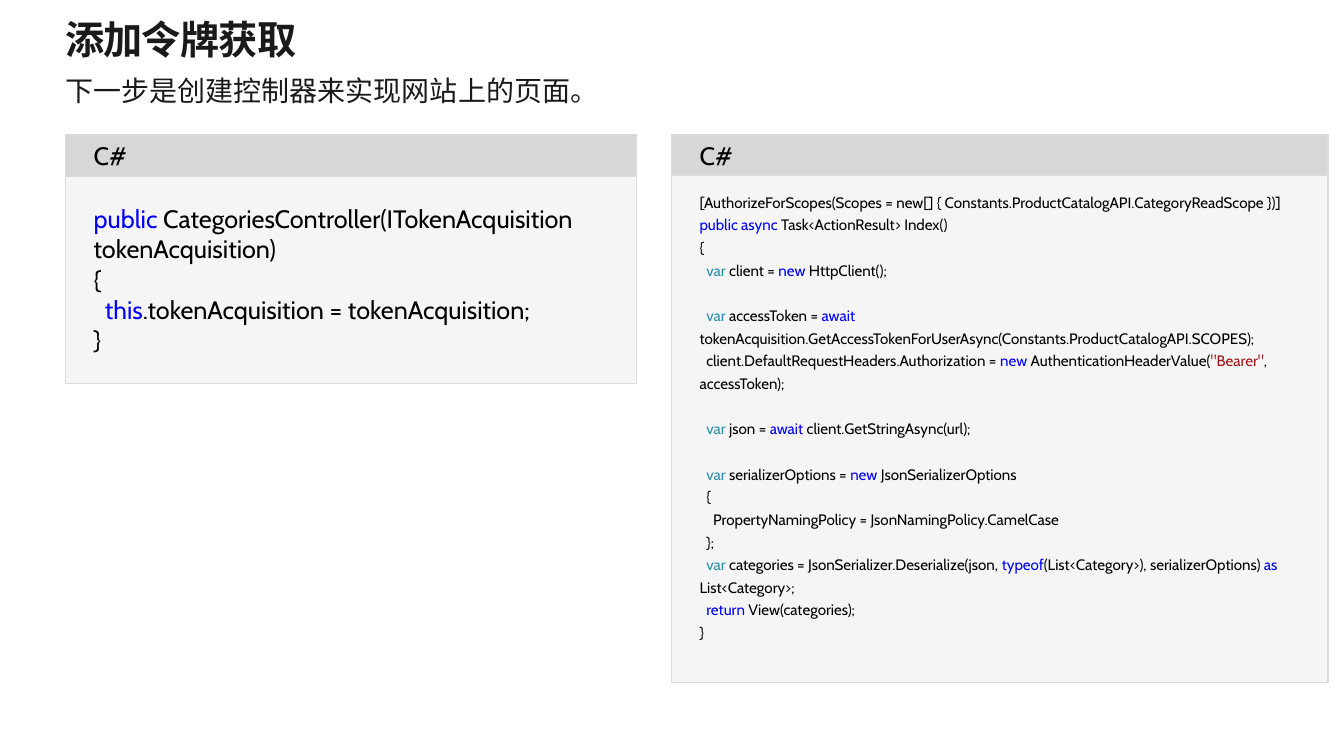
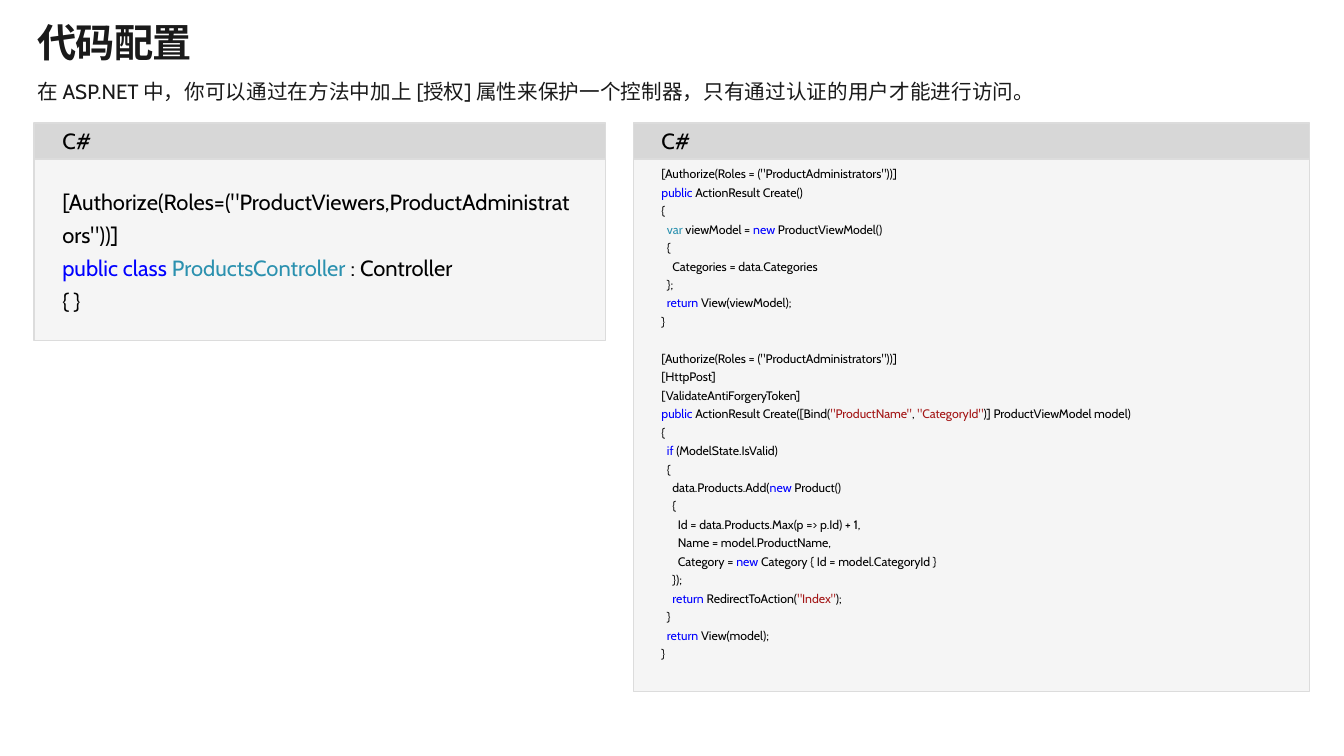
from copy import deepcopy

from pptx import Presentation
from pptx import util as u
from pptx.dml.color import RGBColor
from pptx.enum import shapes, text
from pptx.util import Cm

# Shared look
INK, CODE, BORDER = "1A1A1A", "000000", "DCDCDC"
HEADER_FILL, BODY_FILL = "D7D7D7", "F5F5F5"
# Letters used in the listings as |letter:words| to colour words
MARKS = {"k": "0000FF", "t": "2B91AF", "s": "A31515"}
TITLE_STYLE = {"size": u.Pt(28), "bold": True}
HEADER_INSETS = (0.71, 0.13, 0.25, 0.13)
BODY_INSETS = (0.71, 0.71, 0.71, 0.71)

# Code listings
CONSTRUCTOR = """\
|k:public| CategoriesController(ITokenAcquisition tokenAcquisition)
{
  |k:this|.tokenAcquisition = tokenAcquisition;
}"""

INDEX_ACTION = """\
[AuthorizeForScopes(Scopes = new[] { Constants.ProductCatalogAPI.CategoryReadScope })]
|k:public async| Task<ActionResult> Index()
{
  |t:var| client = |k:new| HttpClient();

  |t:var| accessToken = |k:await| tokenAcquisition.GetAccessTokenForUserAsync(Constants.ProductCatalogAPI.SCOPES);
  client.DefaultRequestHeaders.Authorization = |k:new| AuthenticationHeaderValue(|s:"Bearer"|, accessToken);

  |t:var| json = |k:await| client.GetStringAsync(url);

  |t:var| serializerOptions = |k:new| JsonSerializerOptions
  {
    PropertyNamingPolicy = JsonNamingPolicy.CamelCase
  };
  |t:var| categories = JsonSerializer.Deserialize(json, |k:typeof|(List<Category>), serializerOptions) |k:as| List<Category>;
  |k:return| View(categories);
}"""

CONTROLLER = """\
[Authorize(Roles=("ProductViewers,ProductAdministrators"))]
|k:public class| |t:ProductsController| : Controller
{ }"""

CREATE_ACTIONS = """\
[Authorize(Roles = ("ProductAdministrators"))]
|k:public| ActionResult Create()
{
  |t:var| viewModel = |k:new| ProductViewModel()
  {
    Categories = data.Categories
  };
  |k:return| View(viewModel);
}

[Authorize(Roles = ("ProductAdministrators"))]
[HttpPost]
[ValidateAntiForgeryToken]
|k:public| ActionResult Create([Bind(|s:"ProductName"|, |s:"CategoryId"|)] ProductViewModel model)
{
  |k:if| (ModelState.IsValid)
  {
    data.Products.Add(|k:new| Product()
    {
      Id = data.Products.Max(p => p.Id) + 1,
      Name = model.ProductName,
      Category = |k:new| Category { Id = model.CategoryId }
    });
    |k:return| RedirectToAction(|s:"Index"|);
  }
  |k:return| View(model);
}"""


def color(value):
    return RGBColor.from_string(value)


def add_span(para, words, ink, style):
    span = para.add_run()
    span.text = words
    span.font.name = "Cabin"
    span.font.color.rgb = color(ink)
    for name, value in style.items():
        setattr(span.font, name, value)
    return span


def set_frame(frame, insets, anchor):
    sides = ("left", "top", "right", "bottom")
    settings = {f"margin_{side}": Cm(inset) for side, inset in zip(sides, insets)}
    settings.update(word_wrap=True, vertical_anchor=anchor)
    for name, value in settings.items():
        setattr(frame, name, value)


def add_heading(page, place, words, style):
    """Add a text box without insets and return its run."""
    box = page.shapes.add_textbox(*map(Cm, place))
    set_frame(box.text_frame, (0, 0, 0, 0), text.MSO_ANCHOR.TOP)
    return add_span(box.text_frame.paragraphs[0], words, INK, style)


def add_block(page, place, fill, insets):
    """Add a bordered rectangle and return its paragraph."""
    block = page.shapes.add_shape(shapes.MSO_SHAPE.RECTANGLE, *map(Cm, place))
    block.shadow.inherit = False
    block.fill.solid()
    block.fill.fore_color.rgb = color(fill)
    block.line.color.rgb = color(BORDER)
    block.line.width = u.Pt(0.85)
    set_frame(block.text_frame, insets, text.MSO_ANCHOR.MIDDLE)
    para = block.text_frame.paragraphs[0]
    para.alignment = text.PP_ALIGN.LEFT
    return para


def write_code(para, code, size):
    """Write marked code; line breaks take the size of the run before them."""
    style = {"size": u.Pt(size)}
    span = None
    for row, line in enumerate(code.split("\n")):
        if row:
            para.add_line_break()
            para._p[-1].append(deepcopy(span._r.rPr))
        for index, part in enumerate(line.split("|")):
            mark, words = part.split(":", 1) if index % 2 else ("", part)
            if words:
                span = add_span(para, words, MARKS.get(mark, CODE), style)


def add_code_panel(page, header, body_top, body_height, code, size, header_size, spacing):
    left, _, width, _ = header
    body = add_block(page, (left, body_top, width, body_height), BODY_FILL, BODY_INSETS)
    body.line_spacing = spacing
    write_code(body, code, size)
    label = add_block(page, header, HEADER_FILL, HEADER_INSETS)
    add_span(label, "C#", CODE, {"size": u.Pt(header_size)})


def add_page(deck, title, title_place, subtitle, subtitle_place, subtitle_size, panels):
    page = deck.slides.add_slide(deck.slide_layouts[6])
    heading = add_heading(page, title_place, title, TITLE_STYLE)
    heading._r.get_or_add_rPr().set("spc", "-50")
    add_heading(page, subtitle_place, subtitle, {"size": u.Pt(subtitle_size)})
    for panel in panels:
        add_code_panel(page, *panel)


def main():
    deck = Presentation()
    deck.slide_width, deck.slide_height = Cm(33.87), Cm(19.05)

    # Token acquisition
    add_page(
        deck,
        "添加令牌获取", (1.64, 0.38, 30.6, 1.19),
        "下一步是创建控制器来实现网站上的页面。", (1.65, 1.85, 30.6, 0.86), 20,
        [
            ((1.65, 3.4, 14.4, 1.04), 4.39, 5.28, CONSTRUCTOR, 18, 18, 1.0),
            ((16.92, 3.4, 16.55, 1.02), 3.73, 13.46, INDEX_ACTION, 10.8, 18, 1.25),
        ],
    )

    # Code configuration
    add_page(
        deck,
        "代码配置", (0.94, 0.46, 30.6, 1.19),
        "在 ASP.NET 中，你可以通过在方法中加上 [授权] 属性来保护一个控制器，只有通过认证的用户才能进行访问。",
        (0.94, 1.98, 32.08, 0.64), 14.7,
        [
            ((0.86, 3.1, 14.4, 0.91), 3.89, 4.7, CONTROLLER, 15.7, 15.7, 1.25),
            ((15.96, 3.1, 17.04, 0.91), 3.33, 14.1, CREATE_ACTIONS, 8.8, 15.7, 1.25),
        ],
    )
    deck.save("out.pptx")


if __name__ == "__main__":
    main()
